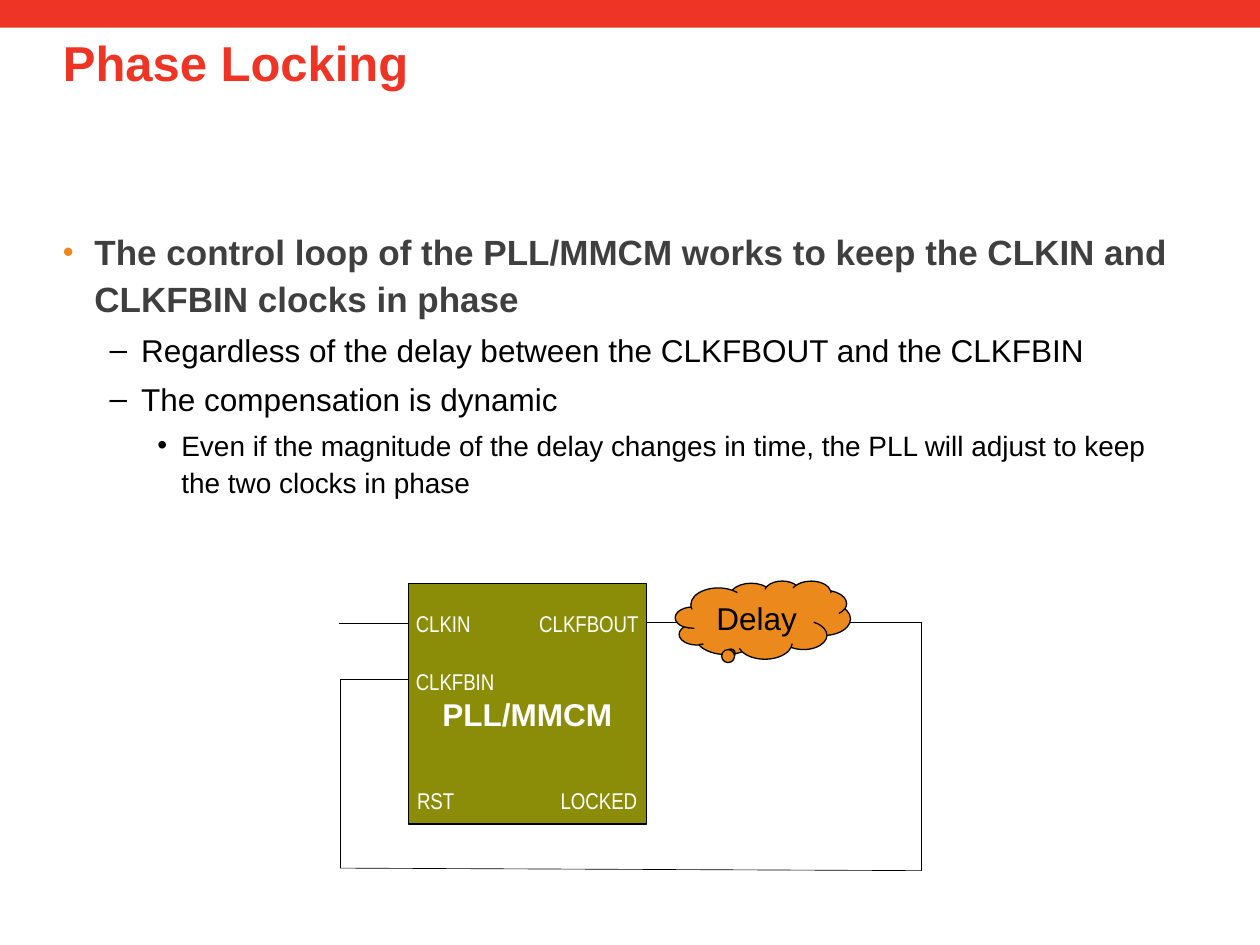
from lxml import etree
from pptx import Presentation
from pptx.dml.color import RGBColor
from pptx.enum.shapes import MSO_CONNECTOR, MSO_SHAPE
from pptx.enum.text import MSO_ANCHOR, PP_ALIGN
from pptx.oxml.ns import qn
from pptx.util import Inches, Pt

COLORS = {"red": "EE3424", "orange": "EC891D", "olive": "8B8D09",
          "grey": "3F3F3F", "black": "000000", "white": "FFFFFF"}

# level: size, bold, colour, indent, hanging, bullet, bullet colour, bullet %, space before
LEVELS = [
    (20, True, "grey", 0.25, 0.25, "•", "orange", 88, 0),
    (18, False, "black", 0.62, 0.25, "–", "black", 100, 4.5),
    (16, False, "black", 0.94, 0.19, "•", "black", 100, 4),
]
BULLETS = [
    (0, "The control loop of the PLL/MMCM works to keep the CLKIN and CLKFBIN clocks in phase"),
    (1, "Regardless of the delay between the CLKFBOUT and the CLKFBIN"),
    (1, "The compensation is dynamic"),
    (2, "Even if the magnitude of the delay changes in time, the PLL will adjust to keep "
        "the two clocks in phase"),
]


def rgb(name):
    return RGBColor.from_string(COLORS[name])


def add_run(p, text, size, color, bold=False, font="Arial"):
    r = p.add_run()
    r.text = text
    r.font.size, r.font.bold, r.font.name = Pt(size), bold, font
    r.font.color.rgb = rgb(color)


def set_insets(tf, left, top, right, bottom):
    tf.margin_left, tf.margin_top = Inches(left), Inches(top)
    tf.margin_right, tf.margin_bottom = Inches(right), Inches(bottom)


def add_text_box(s, x, y, w, h, insets):
    tf = s.shapes.add_textbox(Inches(x), Inches(y), Inches(w), Inches(h)).text_frame
    tf.word_wrap = True
    set_insets(tf, *insets)
    return tf


def add_block(s, kind, x, y, w, h, fill, outlined=True):
    sp = s.shapes.add_shape(kind, Inches(x), Inches(y), Inches(w), Inches(h))
    sp.shadow.inherit = False
    sp.fill.solid()
    sp.fill.fore_color.rgb = rgb(fill)
    if outlined:
        sp.line.color.rgb = rgb("black")
        sp.line.width = Pt(0.75)
    else:
        sp.line.fill.background()
    sp.text_frame.vertical_anchor = MSO_ANCHOR.MIDDLE
    sp.text_frame.paragraphs[0].alignment = PP_ALIGN.CENTER
    return sp


def add_wire(s, x1, y1, x2, y2):
    wire = s.shapes.add_connector(MSO_CONNECTOR.STRAIGHT, Inches(x1), Inches(y1),
                                  Inches(x2), Inches(y2))
    wire.line.color.rgb = rgb("black")
    wire.line.width = Pt(0.38)
    etree.SubElement(wire._element.spPr, qn("a:effectLst"))


def add_bullet(p, char, color, percent, indent, hanging):
    pPr = p._p.get_or_add_pPr()
    pPr.set("marL", str(Inches(indent)))
    pPr.set("indent", str(-Inches(hanging)))
    clr = etree.SubElement(pPr, qn("a:buClr"))
    etree.SubElement(clr, qn("a:srgbClr"), val=COLORS[color])
    etree.SubElement(pPr, qn("a:buSzPct"), val=str(percent * 1000))
    etree.SubElement(pPr, qn("a:buFont"), typeface="Arial")
    etree.SubElement(pPr, qn("a:buChar"), char=char)


def header(s, x, y, w):
    add_block(s, MSO_SHAPE.RECTANGLE, x, y, w, 0.22, "red", outlined=False)
    tf = add_text_box(s, x + 0.5, y + 0.23, w - 1, 1.25, (0, 0.05, 0.1, 0.05))
    p = tf.paragraphs[0]
    p.line_spacing = 0.98
    add_run(p, "Phase Locking", 28, "red", bold=True)


def body(s, x, y, w, h):
    tf = add_text_box(s, x, y, w, h, (0, 0.05, 0.1, 0.05))
    for i, (level, text) in enumerate(BULLETS):
        size, bold, color, indent, hanging, char, mark, percent, before = LEVELS[level]
        p = tf.add_paragraph() if i else tf.paragraphs[0]
        p.level = level
        add_bullet(p, char, mark, percent, indent, hanging)
        p.line_spacing = 1.1
        if before:
            p.space_before = Pt(before)
        add_run(p, text, size, color, bold)


def clock_loop(s, x, y):
    """Draws the feedback loop; x is its left edge, y the top of the cloud."""
    left, right = x + 0.01, x + 4.62
    block_x, block_w = x + 0.55, 1.89
    out_y, in_y, bottom = y + 0.33, y + 0.78, y + 2.28

    # Clock input and output wires
    add_wire(s, x, out_y + 0.01, block_x, out_y + 0.01)
    add_wire(s, block_x + block_w, out_y, right, out_y)

    # PLL block with its port names
    block = add_block(s, MSO_SHAPE.RECTANGLE, block_x, y + 0.02, block_w, 1.91, "olive")
    set_insets(block.text_frame, 0.1, 0.21, 0.1, 0.05)
    add_run(block.text_frame.paragraphs[0], "PLL/MMCM", 18, "white", bold=True)
    ports = [("CLKIN", 0.06, 0.23, 0.53), ("CLKFBIN", 0.06, 0.69, 0.76),
             ("RST", 0.07, 1.63, 0.35), ("CLKFBOUT", 1.04, 0.23, 0.96),
             ("LOCKED", 1.21, 1.63, 0.74)]
    for name, dx, dy, w in ports:
        tf = add_text_box(s, block_x + dx, y + dy, w, 0.22, (0, 0, 0, 0))
        add_run(tf.paragraphs[0], name, 13, "white", font="Arial Narrow")

    # Feedback path
    add_wire(s, left, in_y, block_x, in_y)
    add_wire(s, left, bottom, left, in_y)
    add_wire(s, left, bottom, right, bottom + 0.02)
    add_wire(s, right, bottom + 0.02, right, out_y)

    # Delay cloud on the output wire
    cloud = add_block(s, MSO_SHAPE.CLOUD_CALLOUT, x + 2.67, y, 1.39, 0.62, "orange")
    cloud.adjustments[0], cloud.adjustments[1] = -0.185, 0.432
    cloud.text_frame.word_wrap = False
    add_run(cloud.text_frame.paragraphs[0], "Delay", 18, "black")


def main():
    prs = Presentation()
    prs.slide_width, prs.slide_height = Inches(10), Inches(7.5)
    s = prs.slides.add_slide(prs.slide_layouts[6])
    header(s, 0, 0, 10)
    body(s, 0.5, 1.75, 9, 4.67)
    clock_loop(s, 2.69, 4.61)
    prs.save("out.pptx")


if __name__ == "__main__":
    main()
